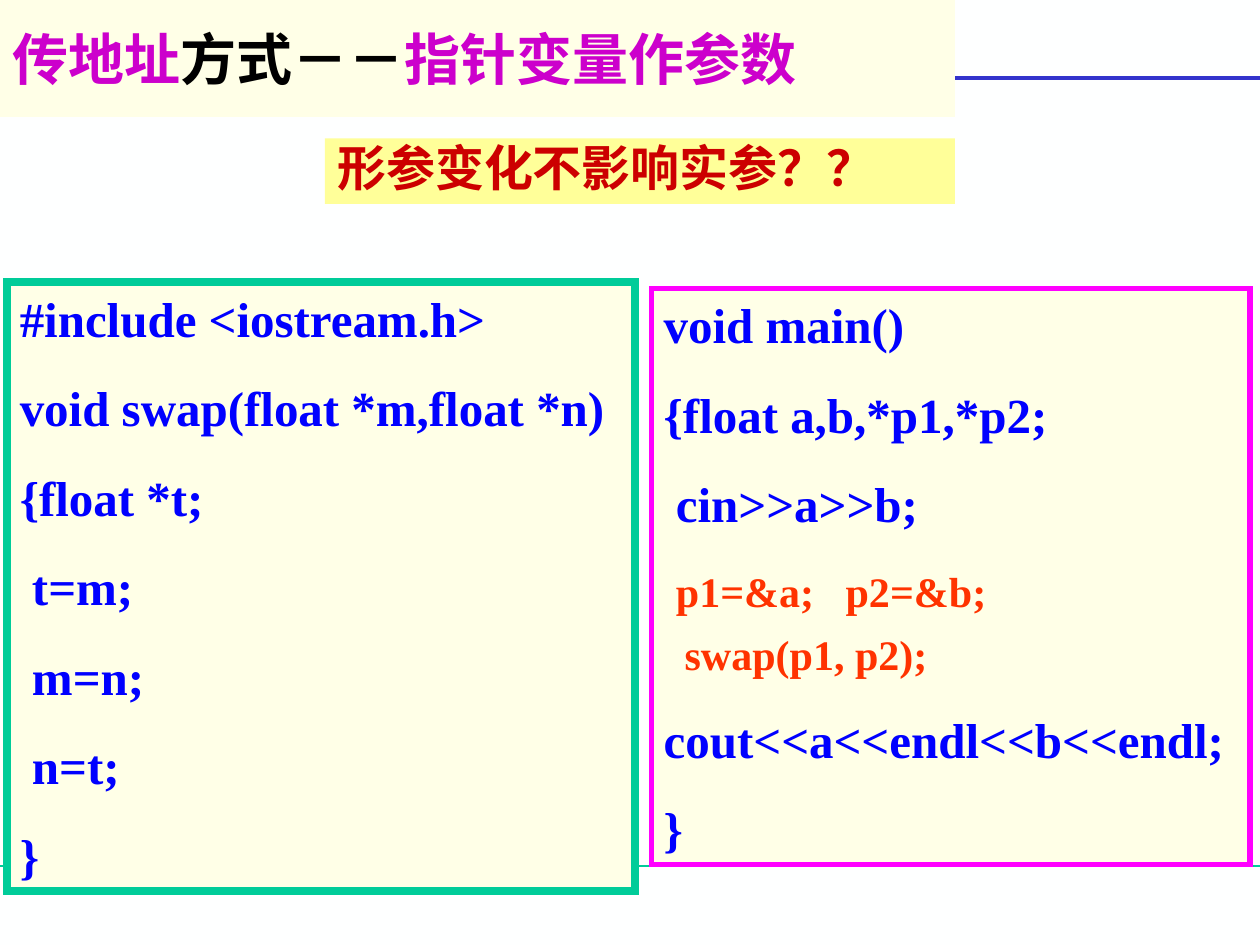
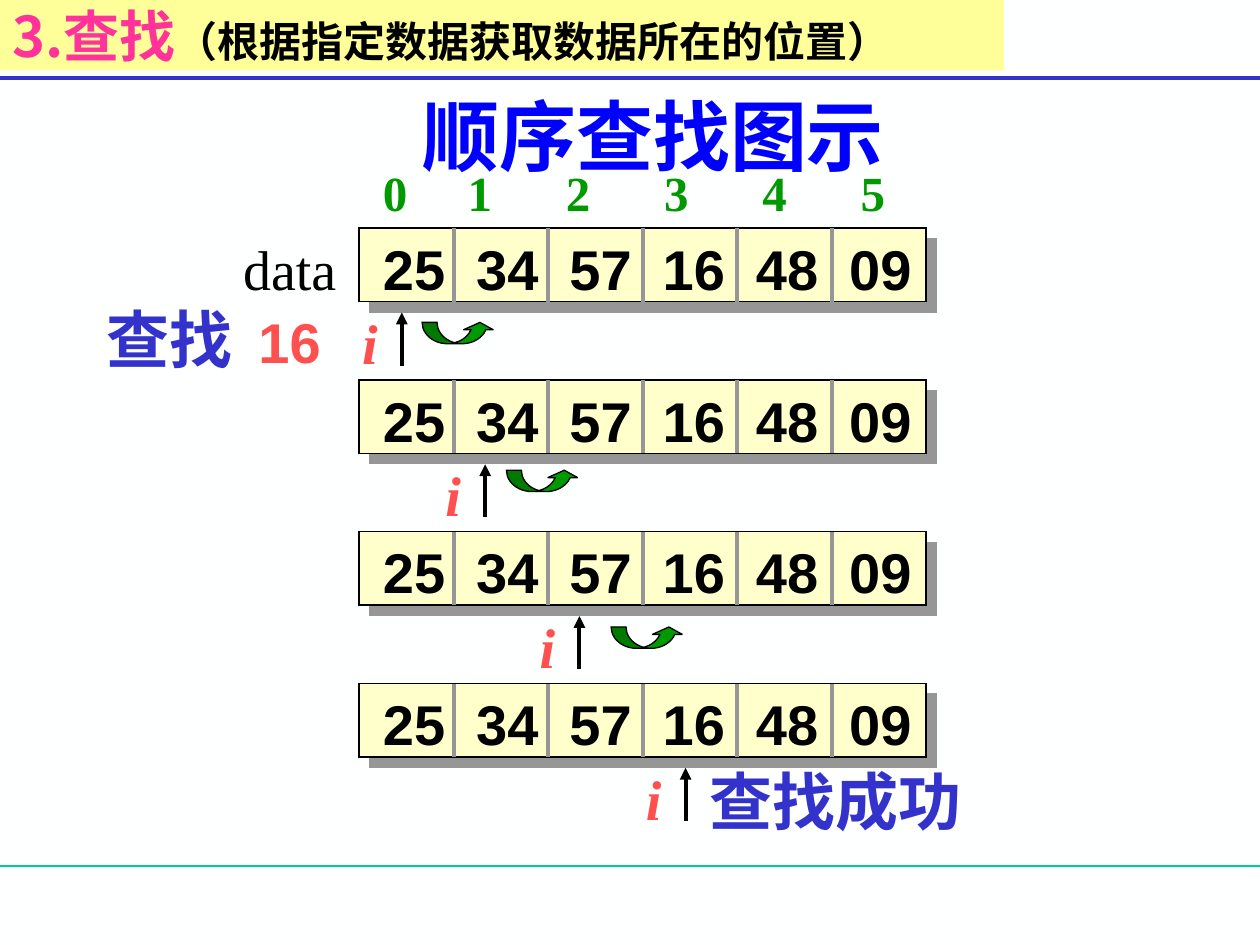
import lxml.etree
import pptx
import pptx.dml.color
import pptx.enum.shapes
import pptx.enum.text
import pptx.oxml.ns
import pptx.util

Cm, Pt = pptx.util.Cm, pptx.util.Pt
Kind = pptx.enum.shapes.MSO_SHAPE
Align = pptx.enum.text.PP_ALIGN
Mid = pptx.enum.text.MSO_ANCHOR.MIDDLE
qn = pptx.oxml.ns.qn

HAN, SERIF, SANS = "Noto Sans CJK SC", "Times New Roman", "Arial"
BLUE, NAVY, GREEN, TEAL = "0000FF", "3333CC", "009900", "00CC99"
CREAM, LEMON, BLACK, GREY, CORAL = "FFFFE7", "FFFF99", "000000", "969696", "FF5050"

# Text styles: font values plus a colour under "ink"
HEAD = dict(name=HAN, size=Pt(32), bold=True, ink=BLACK)
CODE = dict(name=SERIF, size=Pt(28), bold=True, ink=BLUE)
CALL = dict(CODE, size=Pt(24), ink="FF3300")
FIND = dict(name=SERIF, size=Pt(36), bold=True, ink=NAVY)
DATA = dict(name=SANS, size=Pt(32), bold=True, ink=BLACK)
MARK = dict(name=SERIF, size=Pt(32), bold=True, italic=True, ink=CORAL)


def tint(code):
    return pptx.dml.color.RGBColor.from_string(code)


def child(node, tag, **vals):
    return lxml.etree.SubElement(node, qn(tag), **vals)


class Deck:
    """Holds the presentation, the shared style and the current slide."""

    def __init__(self):
        self.prs = pptx.Presentation()
        self.prs.slide_width, self.prs.slide_height = Cm(25.4), Cm(19.05)

    def page(self):
        self.slide = self.prs.slides.add_slide(self.prs.slide_layouts[6])
        fill = self.slide.background.fill
        fill.solid()
        fill.fore_color.rgb = tint("FEFFFF")
        self.line(0, 17.46, 25.4, 17.46, TEAL, 0.75)
        self.line(0, 1.57, 25.4, 1.57, NAVY)

    def line(self, x1, y1, x2, y2, ink, wide=2.25, arrow=False):
        ends = [Cm(v) for v in (x1, y1, x2, y2)]
        link = self.slide.shapes.add_connector(
            pptx.enum.shapes.MSO_CONNECTOR.STRAIGHT, *ends)
        link.line.color.rgb = tint(ink)
        link.line.width = Pt(wide)
        if arrow:
            child(link.line._get_or_add_ln(), "a:tailEnd", type="triangle")
        child(link._element.spPr, "a:effectLst")

    def shape(self, kind, x, y, w, h, fill, edge=None, wide=0.75, shade=False):
        item = self.slide.shapes.add_shape(kind, Cm(x), Cm(y), Cm(w), Cm(h))
        item.fill.solid()
        item.fill.fore_color.rgb = tint(fill)
        if edge:
            item.line.color.rgb = tint(edge)
            item.line.width = Pt(wide)
            child(item.line._get_or_add_ln(), "a:miter", lim="800000")
        else:
            item.line.fill.background()
        item.shadow.inherit = False
        if shade:
            glow = child(item._element.spPr.find(qn("a:effectLst")), "a:outerShdw",
                         blurRad="0", dist=str(Pt(8.5)), dir="2700000",
                         algn="ctr", rotWithShape="0")
            child(glow, "a:srgbClr", val=GREY)
        return item

    def box(self, x, y, w, h, *runs, **more):
        item = self.slide.shapes.add_textbox(Cm(x), Cm(y), Cm(w), Cm(h))
        self.text(item, [(0, runs)], **more)

    def text(self, item, paras, anchor=None, tabs=(), **form):
        """Each paragraph is (space before in points, runs of (text, style))."""
        frame = item.text_frame
        frame.word_wrap = True
        frame.vertical_anchor = anchor or pptx.enum.text.MSO_ANCHOR.TOP
        form = {"alignment": Align.LEFT, **form}
        for num, (gap, runs) in enumerate(paras):
            para = frame.paragraphs[0] if num == 0 else frame.add_paragraph()
            if tabs:
                stops = child(para._p.get_or_add_pPr(), "a:tabLst")
                for stop in tabs:
                    child(stops, "a:tab", pos=str(Cm(stop)), algn="l")
            para.space_before = Pt(gap)
            for key, val in form.items():
                setattr(para, key, val)
            for words, style in runs:
                run = para.add_run()
                run.text = words
                for key, val in style.items():
                    if key != "ink":
                        setattr(run.font, key, val)
                run.font.color.rgb = tint(style["ink"])
                child(run._r.get_or_add_rPr(), "a:ea", typeface=HAN)

    def band(self, w, h, fill, *runs):
        item = self.shape(Kind.RECTANGLE, 0, 0, w, h, fill)
        self.text(item, [(0, runs)], anchor=Mid)

    def code(self, x, y, w, h, edge, wide, lines):
        item = self.shape(Kind.RECTANGLE, x, y, w, h, CREAM, edge, wide)
        self.text(item, lines)

    def row(self, x, y, nums):
        cell, tall = 1.905, 1.48
        self.shape(Kind.RECTANGLE, x, y, cell * len(nums), tall, "FFFFCC",
                   BLACK, shade=True)
        self.box(x + 0.23, y, 11.4, 1.63, ("\t".join(nums), DATA),
                 tabs=[1.88 * k for k in range(1, len(nums))])
        for k in range(1, len(nums)):
            self.line(x + cell * k, y, x + cell * k, y + tall, GREY)


def plain(*lines):
    return [(17.5 if k else 0, [(words, CODE)]) for k, words in enumerate(lines)]


def swap(deck):
    deck.page()
    pink = dict(HEAD, ink="CC00CC")
    deck.band(19.25, 2.36, CREAM, ("传地址", pink), ("方式－－", HEAD),
              ("指针变量作参数", pink))

    # Caller on the right, function on the left
    main = plain("void main()", "{float a,b,*p1,*p2;", " cin>>a>>b;",
                 "cout<<a<<endl<<b<<endl;", "}")
    main[3:3] = [(15, [(" ", CODE), ("p1=&a;   p2=&b;", CALL)]),
                 (6, [("  swap(p1, p2);", CALL)])]
    deck.code(13.13, 5.82, 12.07, 11.61, "FF00FF", 3, main)
    deck.code(0.15, 5.69, 12.65, 12.27, TEAL, 4.5, plain(
        "#include <iostream.h>", "void swap(float *m,float *n)", "{float *t;",
        " t=m;", " m=n;", " n=t;", "}"))

    # Question
    ask = deck.shape(Kind.RECTANGLE, 6.55, 2.79, 12.7, 1.32, LEMON)
    deck.text(ask, [(0, [("形参变化不影响实参？？",
                          dict(CODE, name=HAN, ink="CC0000"))])], line_spacing=0.9)


def search(deck):
    deck.page()
    deck.band(20.24, 1.42, LEMON, ("3.查找", dict(HEAD, ink="FF3399")),
              ("（根据指定数据获取数据所在的位置）", dict(HEAD, size=Pt(24))))
    deck.box(7.24, 1.65, 11.86, 2.11, ("顺序查找图示", dict(CODE, size=Pt(44))),
             anchor=Mid, alignment=Align.CENTER)

    # Labels around the first row
    deck.box(7.47, 3.15, 11.2, 1.45, ("\t".join("012345"), dict(CODE, ink=GREEN)),
             tabs=[1.71 + 1.98 * k for k in range(5)])
    deck.box(4.65, 4.6, 2.6, 1.63, ("data", dict(MARK, bold=False, italic=False,
                                                 ink=BLACK)))
    deck.box(1.9, 5.94, 5.2, 1.78, ("查找\t", FIND), ("16", dict(DATA, ink=CORAL)),
             tabs=[3.06])

    # Search steps: the pointer i moves on until 16 is found
    nums = ["25", "34", "57", "16", "48", "09"]
    for step, (x, jump, drop) in enumerate([(8.1, 8.51, 1.9), (9.78, 10.21, 1.82),
                                            (11.68, 12.32, 1.92), (13.82, None, 0)]):
        y = 4.6 + 3.06 * step
        deck.row(7.24, y, nums)
        deck.line(x, y + 2.77, x, y + 1.7, BLACK, arrow=True)
        deck.box(x - 1.05, y + 1.5, 0.9, 1.63, ("i", MARK))
        if jump:
            turn = deck.shape(Kind.CURVED_UP_ARROW, jump, y + drop, 1.47, 0.43,
                              GREEN, BLACK)
            for k, val in enumerate((0.7, 1.41, 0.35)):
                turn.adjustments[k] = val
    deck.box(14.05, 15.24, 5.8, 1.78, ("查找成功", FIND))


def main():
    deck = Deck()
    swap(deck)
    search(deck)
    deck.prs.save("out.pptx")


if __name__ == "__main__":
    main()
